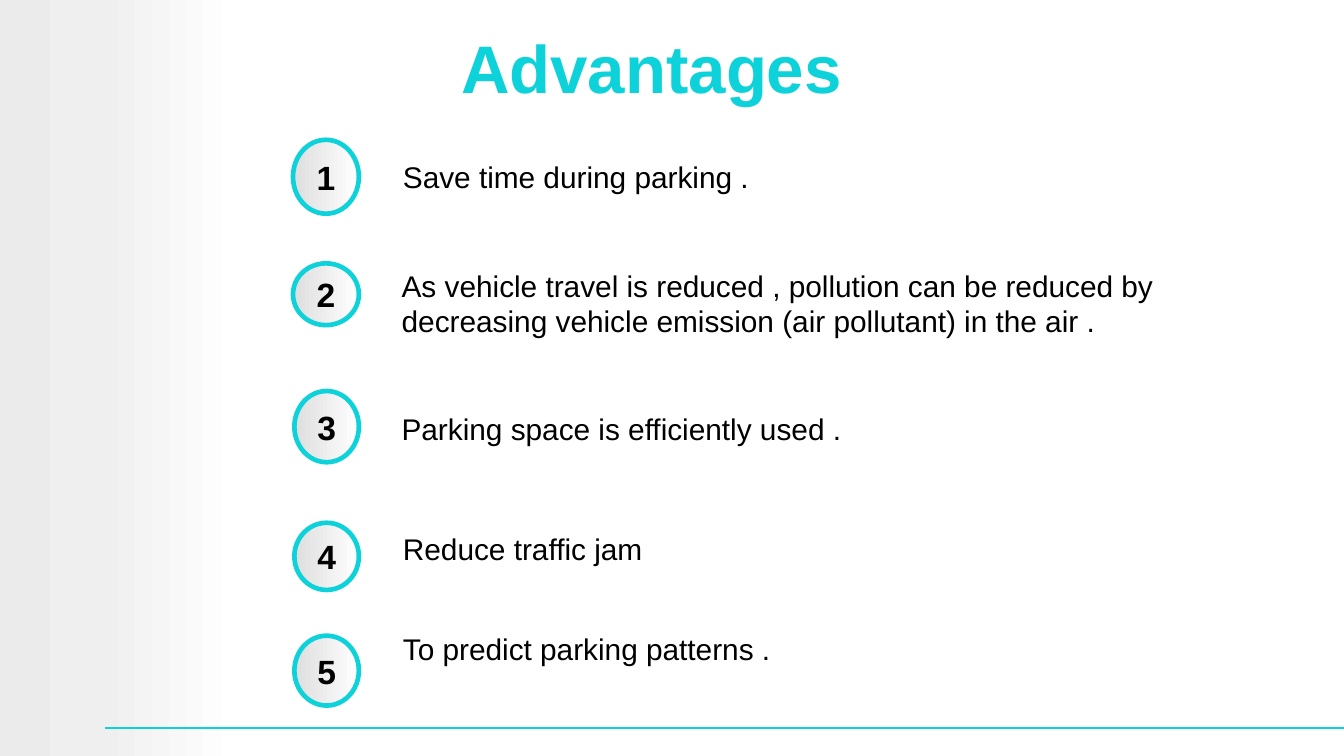
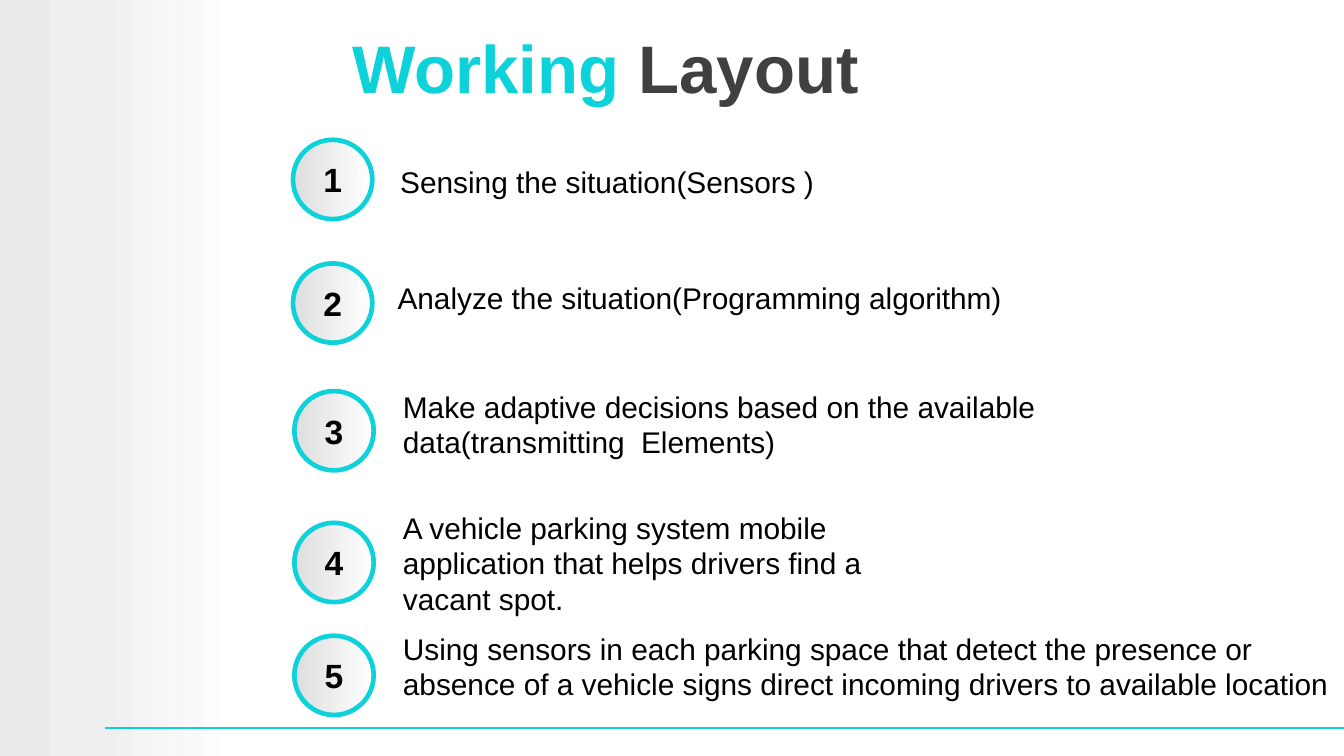
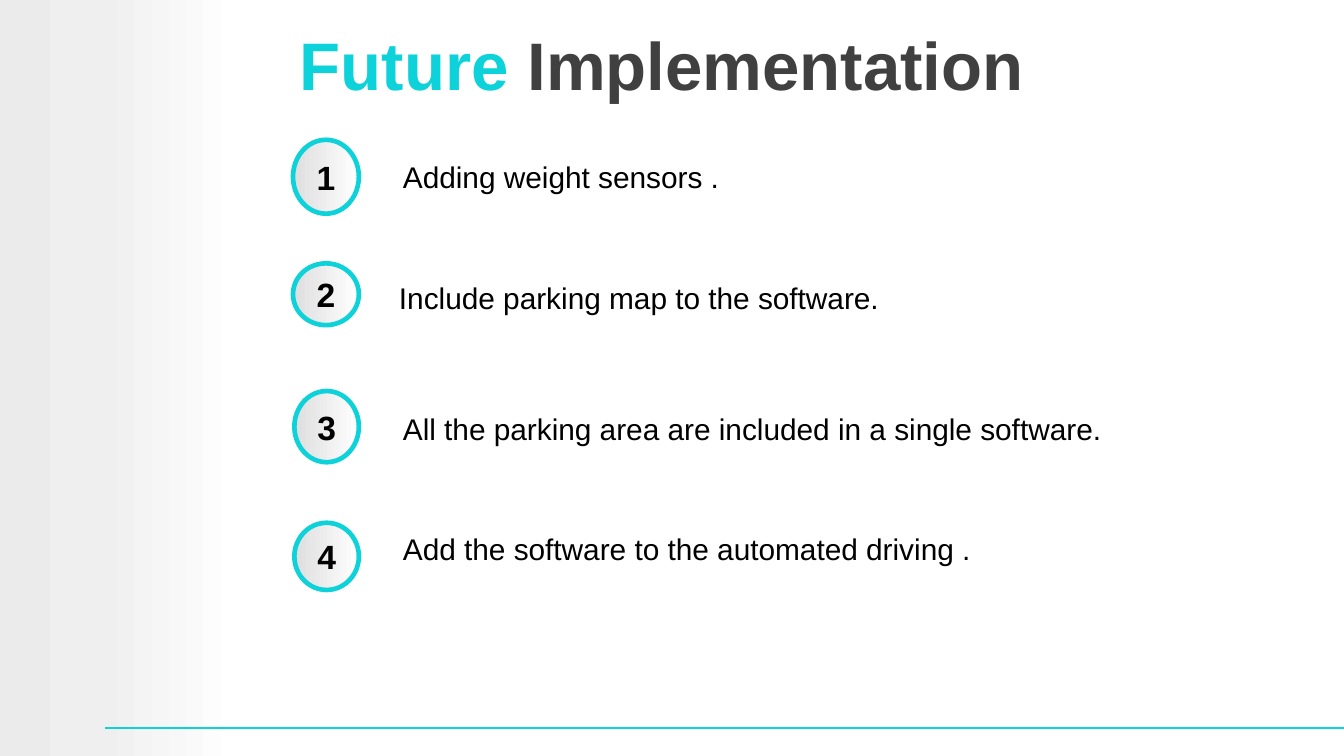
from pptx import Presentation, util as u
from pptx.dml.color import RGBColor
from pptx.enum import shapes, text
from pptx.oxml import parse_xml
from pptx.oxml.ns import nsdecls, qn

PX = 9144
CYAN, GREY, BLACK = "0DD2D9", "404040", "000000"


def shade(shape, stops):
    marks = "".join(
        f'<a:gs pos="{pos * 1000}"><a:srgbClr val="{hue}"/></a:gs>' for pos, hue in stops
    )
    fill = parse_xml(
        f'<a:gradFill {nsdecls("a")} rotWithShape="1"><a:gsLst>{marks}</a:gsLst>'
        '<a:lin ang="0" scaled="0"/></a:gradFill>'
    )
    shape.element.spPr.find(qn("a:prstGeom")).addnext(fill)
    shape.shadow.inherit = False


def style(run, size, hue, bold=False):
    run.font.name = "Arial"
    run.font.size = u.Pt(size)
    run.font.bold = bold
    run.font.color.rgb = RGBColor.from_string(hue)


tops = [104, 196, 291, 389, 473]
lefts = [218, 218, 219, 219, 219]
ovals = [(49, 55), (49, 46), (48, 53), (48, 50), (48, 52)]
rounds = [(59, 59)] * 5

pages = [
    ((224, 7), 119, [("Advantages", CYAN)], ovals, [
        (290, 113, 383, 37, "Save time during parking ."),
        (289, 194, 589, 64, "As vehicle travel is reduced , pollution can be reduced by "
                            "decreasing vehicle emission (air pollutant) in the air ."),
        (289, 301, 667, 37, "Parking space is efficiently used ."),
        (290, 390, 383, 64, "Reduce traffic jam"),
        (290, 464, 710, 64, "To predict parking patterns ."),
    ]),
    ((224, 7), 38, [("Working ", CYAN), ("Layout", GREY)], rounds, [
        (288, 117, 383, 37, "Sensing the situation(Sensors )"),
        (286, 203, 485, 64, "Analyze the situation(Programming algorithm)"),
        (290, 284, 543, 84, "Make adaptive decisions based on the available "
                            "data(transmitting  Elements)"),
        (290, 374, 383, 91, "A vehicle parking system mobile application that helps "
                            "drivers find a vacant spot."),
        (290, 464, 710, 91, "Using sensors in each parking space that detect the presence or "
                            "absence of a vehicle signs direct incoming drivers to "
                            "available location"),
    ]),
    ((185, 5), 38, [("Future ", CYAN), ("Implementation", GREY)], ovals, [
        (290, 113, 383, 64, "Adding weight sensors ."),
        (287, 203, 589, 64, "Include parking map to the software."),
        (290, 301, 667, 64, "All the parking area are included in a single software."),
        (290, 390, 533, 37, "Add the software to the automated driving ."),
    ]),
]

prs = Presentation()
prs.slide_width = 1000 * PX
prs.slide_height = prs.slide_width * 9 // 16
slides = [prs.slides.add_slide(prs.slide_layouts[5]) for page in pages]

band = slides[0].shapes.add_shape(
    shapes.MSO_SHAPE.RECTANGLE, 0, 0, 177 * PX, prs.slide_height
)
shade(band, [(0, "EBEBEB"), (42, "EFEFEF"), (100, "FFFFFF")])
band.line.fill.background()
rule = slides[0].shapes.add_connector(
    shapes.MSO_CONNECTOR.STRAIGHT, 78 * PX, 542 * PX, 1000 * PX, 542 * PX
)
rule.line.color.rgb = RGBColor.from_string(CYAN)
rule.line.width = u.Pt(1)
rule.element.spPr.append(parse_xml(f'<a:effectLst {nsdecls("a")}/>'))
for part in (band, rule):
    prs.slide_master.element.cSld.spTree.append(part.element)

for slide, (spot, inset, words, sizes, items) in zip(slides, pages):
    title = slide.shapes.title
    title.left, title.top = (n * PX for n in spot)
    title.width, title.height = 827 * PX, 85 * PX
    frame = title.text_frame
    frame.auto_size = text.MSO_AUTO_SIZE.NONE
    frame.vertical_anchor = text.MSO_ANCHOR.MIDDLE
    frame.margin_left = inset * PX
    para = frame.paragraphs[0]
    para.alignment = text.PP_ALIGN.LEFT
    for word, hue in words:
        run = para.add_run()
        run.text = word
        style(run, 36, hue, True)

    for num, (x, y, (w, h), item) in enumerate(zip(lefts, tops, sizes, items), 1):
        badge = slide.shapes.add_group_shape()
        ring = badge.shapes.add_shape(
            shapes.MSO_SHAPE.OVAL, x * PX, y * PX, w * PX, h * PX
        )
        shade(ring, [(0, "DEDEDE"), (100, "FFFFFF")])
        ring.line.color.rgb = RGBColor.from_string(CYAN)
        ring.line.width = u.Pt(2.5)
        dx, dy = round(w / 6), round(h / 6)
        label = badge.shapes.add_textbox(
            (x + dx) * PX, (y + dy) * PX, (w - 2 * dx) * PX, (h - 2 * dy) * PX
        )
        frame = label.text_frame
        frame.word_wrap = True
        frame.margin_left = frame.margin_right = frame.margin_top = frame.margin_bottom = 0
        frame.vertical_anchor = text.MSO_ANCHOR.MIDDLE
        frame.text = str(num)
        frame.paragraphs[0].alignment = text.PP_ALIGN.CENTER
        style(frame.paragraphs[0].runs[0], 18, BLACK, True)

        *box, line = item
        note = slide.shapes.add_textbox(*(n * PX for n in box))
        note.text_frame.word_wrap = True
        note.text_frame.text = line
        style(note.text_frame.paragraphs[0].runs[0], 16, BLACK)

prs.save("out.pptx")
